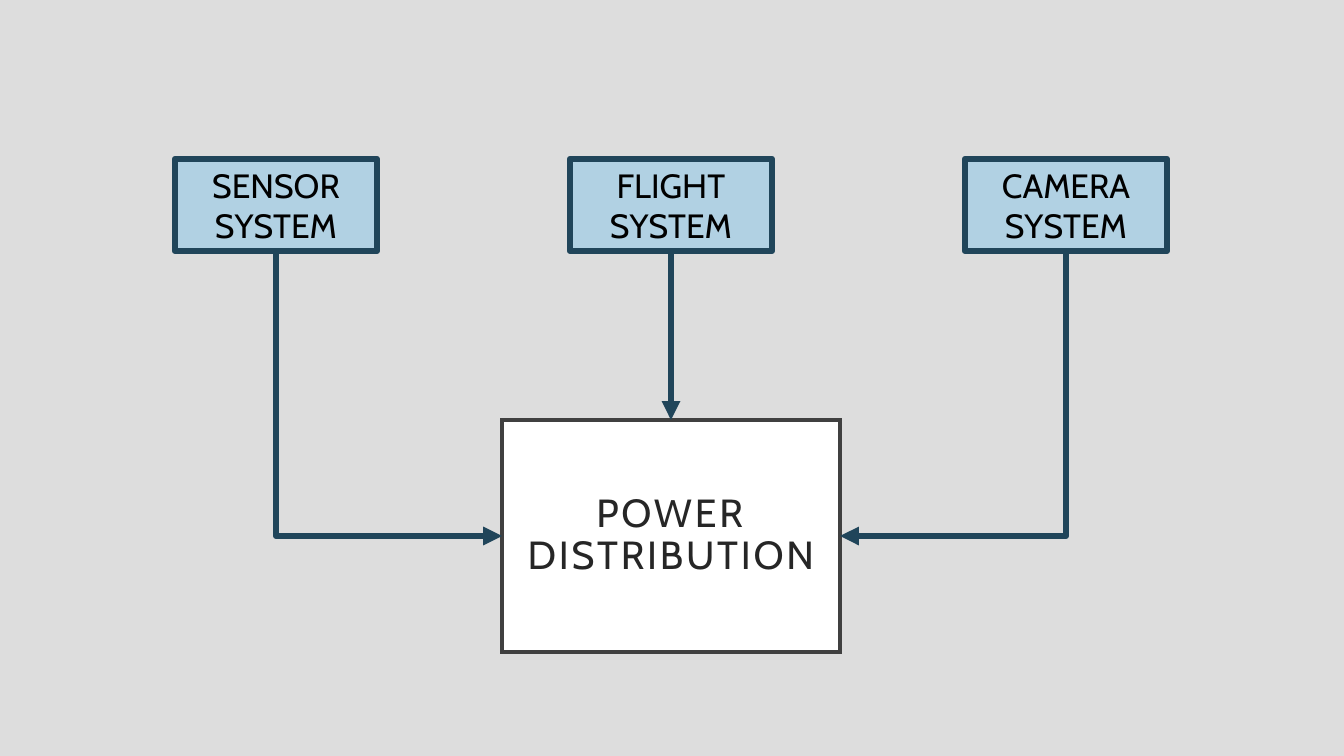
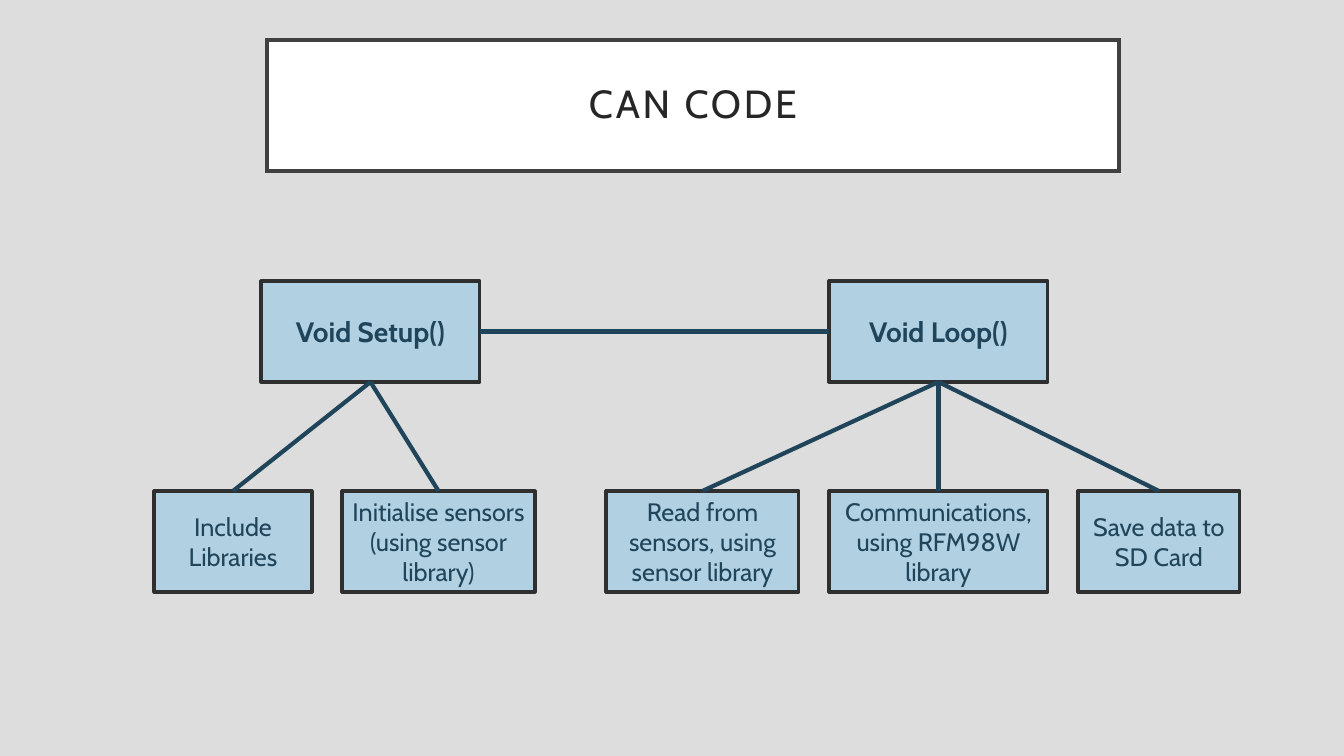
from pptx import Presentation
from pptx.dml.color import RGBColor
from pptx.enum.shapes import MSO_CONNECTOR as LINK, MSO_SHAPE as SHAPE
from pptx.enum.text import MSO_ANCHOR as ANCHOR, MSO_AUTO_SIZE as FIT, PP_ALIGN as ALIGN
from pptx.oxml.ns import qn
from pptx.oxml.xmlchemy import OxmlElement
from pptx.util import Pt

EMU_PER_PX = 914400 / 100.8
SLIDE_W, SLIDE_H = 1344, 756
FONT = "Cabin"
TITLE_ONLY = 5
TOP, LEFT, BOTTOM, RIGHT = range(4)

BACKGROUND = RGBColor(0xDD, 0xDD, 0xDD)
WHITE = RGBColor(0xFF, 0xFF, 0xFF)
BLACK = RGBColor(0x00, 0x00, 0x00)
LIGHT_BLUE = RGBColor(0xB1, 0xD1, 0xE3)
NAVY = RGBColor(0x20, 0x45, 0x5A)
BOX_EDGE = RGBColor(0x2F, 0x2F, 0x2F)
TITLE_EDGE = RGBColor(0x40, 0x40, 0x40)
TITLE_INK = RGBColor(0x26, 0x26, 0x26)


def px(length):
    return round(length * EMU_PER_PX)


def write(shape, text, *, size, color, bold=False, tracking=0, spacing=None, insets=(10, 5)):
    """Put centred text in a shape."""
    frame = shape.text_frame
    frame.word_wrap = True
    frame.auto_size = FIT.NONE
    frame.vertical_anchor = ANCHOR.MIDDLE
    frame.margin_left = frame.margin_right = px(insets[0])
    frame.margin_top = frame.margin_bottom = px(insets[1])
    paragraph = frame.paragraphs[0]
    paragraph.alignment = ALIGN.CENTER
    paragraph.line_spacing = spacing
    run = paragraph.add_run()
    run.text = text
    font = run.font
    font.name, font.size, font.bold = FONT, Pt(size), bold
    font.color.rgb = color
    if tracking:
        run.font._element.set("spc", str(tracking * 100))


def paint(shape, fill, edge, weight):
    shape.fill.solid()
    shape.fill.fore_color.rgb = fill
    shape.line.color.rgb = edge
    shape.line.width = Pt(weight)


def line_end(shape, tag, **attributes):
    """Append a join or arrowhead to the outline of a shape."""
    part = OxmlElement(tag)
    for name, value in attributes.items():
        part.set(name, value)
    shape._element.spPr.find(qn("a:ln")).append(part)


def add_title(slide, text, box, edge_weight):
    title = slide.shapes.title
    title.left, title.top, title.width, title.height = map(px, box)
    paint(title, WHITE, TITLE_EDGE, edge_weight)
    line_end(title, "a:miter", lim="800000")
    write(title, text, size=28, color=TITLE_INK, tracking=2, spacing=0.9, insets=(20, 20))
    return title


def add_box(slide, text, box, edge, edge_weight, **text_format):
    shape = slide.shapes.add_shape(SHAPE.RECTANGLE, *map(px, box))
    shape.shadow.inherit = False
    paint(shape, LIGHT_BLUE, edge, edge_weight)
    write(shape, text, **text_format)
    return shape


def join(slide, start, start_side, end, end_side, weight, kind=LINK.STRAIGHT, arrow=False):
    """Connect the middles of two box sides."""
    link = slide.shapes.add_connector(kind, 0, 0, 0, 0)
    link.begin_connect(start, start_side)
    link.end_connect(end, end_side)
    link.line.color.rgb = NAVY
    link.line.width = Pt(weight)
    if arrow:
        line_end(link, "a:tailEnd", type="triangle")
    link._element.spPr.append(OxmlElement("a:effectLst"))
    return link


def join_down_then_across(slide, start, end, end_side):
    """One-bend arrow: a bentConnector2 turned a quarter about its centre."""
    link = join(slide, start, BOTTOM, end, end_side, 4.5, LINK.ELBOW, arrow=True)
    centre_x = (link.begin_x + link.end_x) // 2
    centre_y = (link.begin_y + link.end_y) // 2
    across, down = link.width, link.height
    link.left, link.top = centre_x - down // 2, centre_y - across // 2
    link.width, link.height = down, across
    properties = link._element.spPr
    properties.find(qn("a:prstGeom")).set("prst", "bentConnector2")
    frame = properties.find(qn("a:xfrm"))
    for flip in ("flipH", "flipV"):
        frame.attrib.pop(flip, None)
    quarter_turns = 1
    if end_side == LEFT:
        quarter_turns = 3
        frame.set("flipH", "1")
    frame.set("rot", str(quarter_turns * 90 * 60000))


def power_slide(slide):
    distribution = add_title(slide, "POWER DISTRIBUTION", (502, 420, 338, 232), 3)
    first_x, pitch = 175, 395
    sensor, flight, camera = (
        add_box(slide, f"{name} SYSTEM", (first_x + i * pitch, 159, 202, 92),
                NAVY, 4.5, size=24, color=BLACK)
        for i, name in enumerate(("SENSOR", "FLIGHT", "CAMERA")))
    join_down_then_across(slide, sensor, distribution, LEFT)
    join_down_then_across(slide, camera, distribution, RIGHT)
    join(slide, flight, BOTTOM, distribution, TOP, 4.5, arrow=True)


def code_branch(slide, heading, heading_x, steps, steps_x):
    """A function box with its steps in a row beneath it."""
    top, height, drop, gap = 281, 101, 210, 30
    parent = add_box(slide, heading, (heading_x, top, 219, height),
                     BOX_EDGE, 2.25, size=20, color=NAVY, bold=True)
    x = steps_x
    for text, width in steps:
        step = add_box(slide, text, (x, top + drop, width, height),
                       BOX_EDGE, 2.25, size=18, color=NAVY)
        join(slide, step, TOP, parent, BOTTOM, 3)
        x += width + gap
    return parent


def code_slide(slide):
    add_title(slide, "CAN CODE", (267, 40, 852, 131), 2.5)
    setup = code_branch(slide, "Void Setup()", 261, [
        ("Include Libraries", 158),
        ("Initialise sensors (using sensor library)", 193),
    ], 154)
    loop = code_branch(slide, "Void Loop()", 829, [
        ("Read from sensors, using sensor library", 193),
        ("Communications, using RFM98W library", 219),
        ("Save data to SD Card", 162),
    ], 606)
    join(slide, setup, RIGHT, loop, LEFT, 3)


def main():
    deck = Presentation()
    deck.slide_width, deck.slide_height = px(SLIDE_W), px(SLIDE_H)
    # Shared background
    backdrop = deck.slide_master.background.fill
    backdrop.solid()
    backdrop.fore_color.rgb = BACKGROUND
    for build in (power_slide, code_slide):
        build(deck.slides.add_slide(deck.slide_layouts[TITLE_ONLY]))
    deck.save("out.pptx")


if __name__ == "__main__":
    main()
